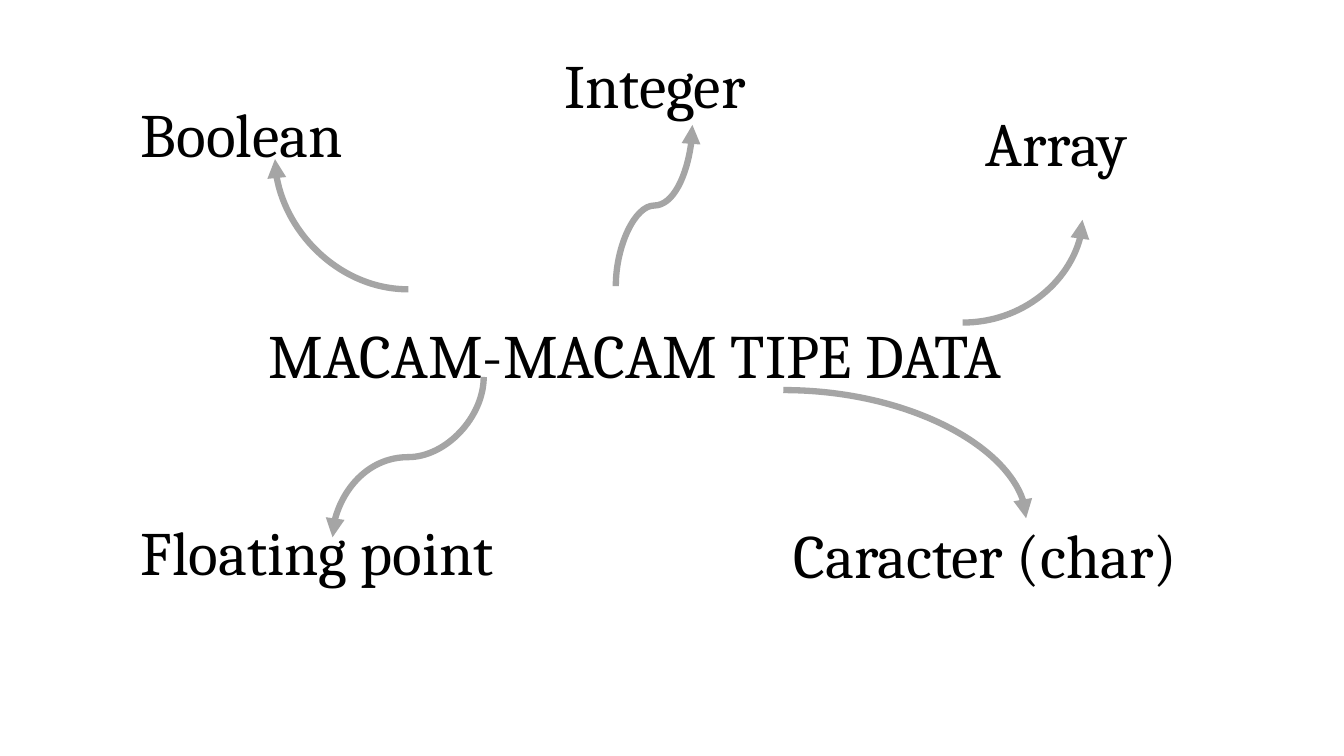
from math import cos, radians, sin

from lxml.etree import SubElement
from pptx import Presentation
from pptx.dml.color import RGBColor
from pptx.enum.shapes import MSO_CONNECTOR
from pptx.enum.text import MSO_ANCHOR
from pptx.oxml.ns import qn
from pptx.util import Cm, Pt

BLACK = RGBColor(0x00, 0x00, 0x00)
GREY = RGBColor(0xA5, 0xA5, 0xA5)

# Label: left, top, width, height in cm
LABELS = {
    "MACAM-MACAM TIPE DATA": (6.53, 7.19, 22.89, 3.68),
    "Integer": (13.97, 0.38, 8, 3.68),
    "Floating point": (3.3, 12.17, 12.55, 3.68),
    "Caracter (char)": (19.74, 12.24, 11.66, 3.68),
    "Boolean": (3.3, 2.21, 7.62, 2.49),
    "Array": (24.59, 1.85, 5.38, 3.68),
}

# Start and end in cm, curve preset, turn in degrees
ARROWS = [
    ((10.29, 7.29), (6.93, 4.01), "curvedConnector2", 180),
    ((24.26, 8.13), (27.28, 5.54), "curvedConnector2", 0),
    ((15.52, 7.21), (17.45, 3.15), "curvedConnector3", 90),
    ((19.74, 9.83), (25.86, 13.06), "curvedConnector2", 0),
    ((12.19, 9.5), (8.38, 13.54), "curvedConnector3", 90),
]


class MindMap:
    font_format = {"name": "Cambria", "size": Pt(44)}
    frame_format = {"word_wrap": True, "vertical_anchor": MSO_ANCHOR.MIDDLE}

    def __init__(self, page):
        self.page = page

    def apply(self, target, values):
        for name, value in values.items():
            setattr(target, name, value)

    def label(self, text, place):
        box = self.page.shapes.add_textbox(*map(Cm, place))
        self.apply(box.text_frame, self.frame_format)
        para = box.text_frame.paragraphs[0]
        para.line_spacing = 0.9
        span = para.add_run()
        span.text = text
        self.apply(span.font, self.font_format)
        span.font.color.rgb = BLACK

    def arrow(self, start, end, preset, turn):
        # Undo the turn about the centre, so the turned curve meets both ends
        (x1, y1), (x2, y2) = start, end
        middle_x, middle_y = (x1 + x2) / 2, (y1 + y2) / 2
        half_x, half_y = (x2 - x1) / 2, (y2 - y1) / 2
        cosine, sine = cos(radians(turn)), sin(radians(turn))
        across = half_x * cosine + half_y * sine
        down = half_y * cosine - half_x * sine
        curve = self.page.shapes.add_connector(
            MSO_CONNECTOR.CURVE,
            Cm(middle_x - across), Cm(middle_y - down),
            Cm(middle_x + across), Cm(middle_y + down))
        curve.line.color.rgb = GREY
        curve.line.width = Pt(4.5)

        # Curve type, turn, arrowhead and no shadow
        properties = curve.element.spPr
        properties.find(qn("a:prstGeom")).set("prst", preset)
        properties.find(qn("a:xfrm")).set("rot", str(turn * 60000))
        SubElement(properties.find(qn("a:ln")), qn("a:tailEnd"), type="triangle")
        SubElement(properties, qn("a:effectLst"))


def main():
    deck = Presentation()
    deck.slide_width, deck.slide_height = Cm(33.87), Cm(19.05)
    mind_map = MindMap(deck.slides.add_slide(deck.slide_layouts[6]))

    # Topic and data types
    for text, place in LABELS.items():
        mind_map.label(text, place)

    # Arrows from the topic to each type
    for arrow in ARROWS:
        mind_map.arrow(*arrow)

    deck.save("out.pptx")


if __name__ == "__main__":
    main()
